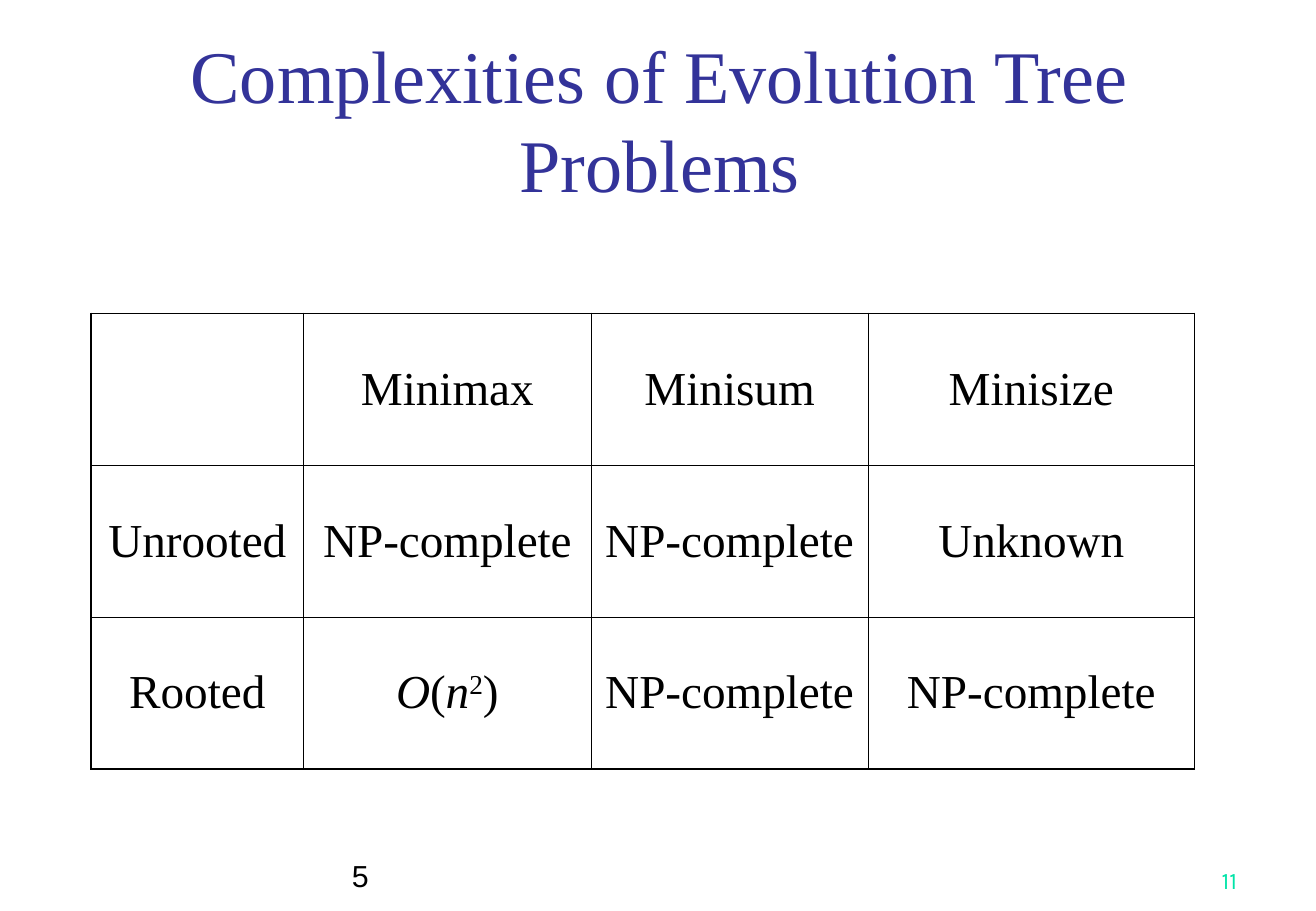
from dataclasses import dataclass

from lxml.etree import SubElement
from pptx import Presentation
from pptx.dml.color import RGBColor
from pptx.enum.text import MSO_ANCHOR as Anchor, MSO_AUTO_SIZE as AutoSize, PP_ALIGN as Align
from pptx.oxml.ns import qn
from pptx.slide import Slide
from pptx.table import Table, _Cell as Cell
from pptx.text.text import TextFrame
from pptx.util import Inches, Pt

BLACK = RGBColor(0x00, 0x00, 0x00)
INDIGO = RGBColor(0x33, 0x33, 0x99)
GREEN = RGBColor(0x00, 0xE4, 0xA8)
SERIF = "Times New Roman"
OUTER_BORDER = Pt(1.08)
INNER_BORDER = Pt(0.45)


@dataclass
class Style:
    font: str
    size: int
    color: RGBColor
    align: Align


@dataclass
class FooterNumber:
    text: str
    left: float
    width: float
    style: Style


@dataclass
class Piece:
    text: str
    italic: bool = False
    superscript: bool = False


TITLE_STYLE = Style(SERIF, 44, INDIGO, Align.CENTER)
CELL_STYLE = Style(SERIF, 28, BLACK, Align.CENTER)
FOOTER_NUMBERS = [
    FooterNumber("5", 2.8, 5.78, Style("Arial", 18, BLACK, Align.LEFT)),
    FooterNumber("11", 8.03, 2.26, Style("Karla", 14, GREEN, Align.RIGHT)),
]

HARD = [Piece("NP-complete")]
QUADRATIC = [Piece("O", italic=True), Piece("("), Piece("n", italic=True),
             Piece("2", superscript=True), Piece(")")]
COMPLEXITIES = [
    [[], [Piece("Minimax")], [Piece("Minisum")], [Piece("Minisize")]],
    [[Piece("Unrooted")], HARD, HARD, [Piece("Unknown")]],
    [[Piece("Rooted")], QUADRATIC, HARD, HARD],
]
COLUMN_WIDTHS = [1.75, 2.37, 2.28, 2.69]
ROW_HEIGHT = 1.25


def format_text(frame: TextFrame, style: Style) -> None:
    for paragraph in frame.paragraphs:
        paragraph.alignment = style.align
        for run in paragraph.runs:
            run.font.name = style.font
            run.font.size = Pt(style.size)
            run.font.color.rgb = style.color


def fill_box(frame: TextFrame, text: str, style: Style) -> None:
    """Put wrapped text at the bottom of a box of fixed size."""
    frame.text = text
    frame.word_wrap = True
    frame.auto_size = AutoSize.NONE
    frame.vertical_anchor = Anchor.BOTTOM
    format_text(frame, style)


def add_title(slide: Slide) -> None:
    title = slide.shapes.title
    title.left, title.top = Inches(0.92), Inches(0.92)
    title.width, title.height = Inches(9.03), Inches(0.84)
    fill_box(title.text_frame, "Complexities of Evolution Tree Problems", TITLE_STYLE)


def fill_cell(cell: Cell, pieces: list[Piece]) -> None:
    paragraph = cell.text_frame.paragraphs[0]
    for piece in pieces:
        run = paragraph.add_run()
        run.text = piece.text
        run.font.italic = piece.italic
        if piece.superscript:
            run._r.get_or_add_rPr().set("baseline", "30000")
    format_text(cell.text_frame, CELL_STYLE)
    cell.vertical_anchor = Anchor.MIDDLE


def set_borders(table: Table, row: int, column: int) -> None:
    """Draw thick lines on the table's outline and thin ones inside."""
    properties = table.cell(row, column)._tc.get_or_add_tcPr()
    on_outline = {
        "a:lnL": column == 0,
        "a:lnR": column == len(table.columns) - 1,
        "a:lnT": row == 0,
        "a:lnB": row == len(table.rows) - 1,
    }
    for tag, outer in on_outline.items():
        line = SubElement(properties, qn(tag), w=str(OUTER_BORDER if outer else INNER_BORDER))
        fill = SubElement(line, qn("a:solidFill"))
        SubElement(fill, qn("a:srgbClr"), val=str(BLACK))


def add_complexity_table(slide: Slide) -> None:
    row_count = len(COMPLEXITIES)
    table = slide.shapes.add_table(
        row_count, len(COLUMN_WIDTHS), Inches(0.75), Inches(2.58),
        Inches(sum(COLUMN_WIDTHS)), Inches(row_count * ROW_HEIGHT)).table
    table.first_row = False
    table.horz_banding = False
    for column, width in zip(table.columns, COLUMN_WIDTHS):
        column.width = Inches(width)
    for row_index, row in enumerate(COMPLEXITIES):
        for column_index, pieces in enumerate(row):
            cell = table.cell(row_index, column_index)
            fill_cell(cell, pieces)
            set_borders(table, row_index, column_index)
            cell.fill.background()


def add_footer_number(slide: Slide, number: FooterNumber) -> None:
    box = slide.shapes.add_textbox(
        Inches(number.left), Inches(6.91), Inches(number.width), Inches(0.5))
    fill_box(box.text_frame, number.text, number.style)


def main() -> None:
    presentation = Presentation()
    presentation.slide_width = Inches(10.84)
    presentation.slide_height = Inches(7.5)
    slide = presentation.slides.add_slide(presentation.slide_layouts.get_by_name("Title Only"))
    add_title(slide)
    add_complexity_table(slide)
    for number in FOOTER_NUMBERS:
        add_footer_number(slide, number)
    presentation.save("out.pptx")


if __name__ == "__main__":
    main()
